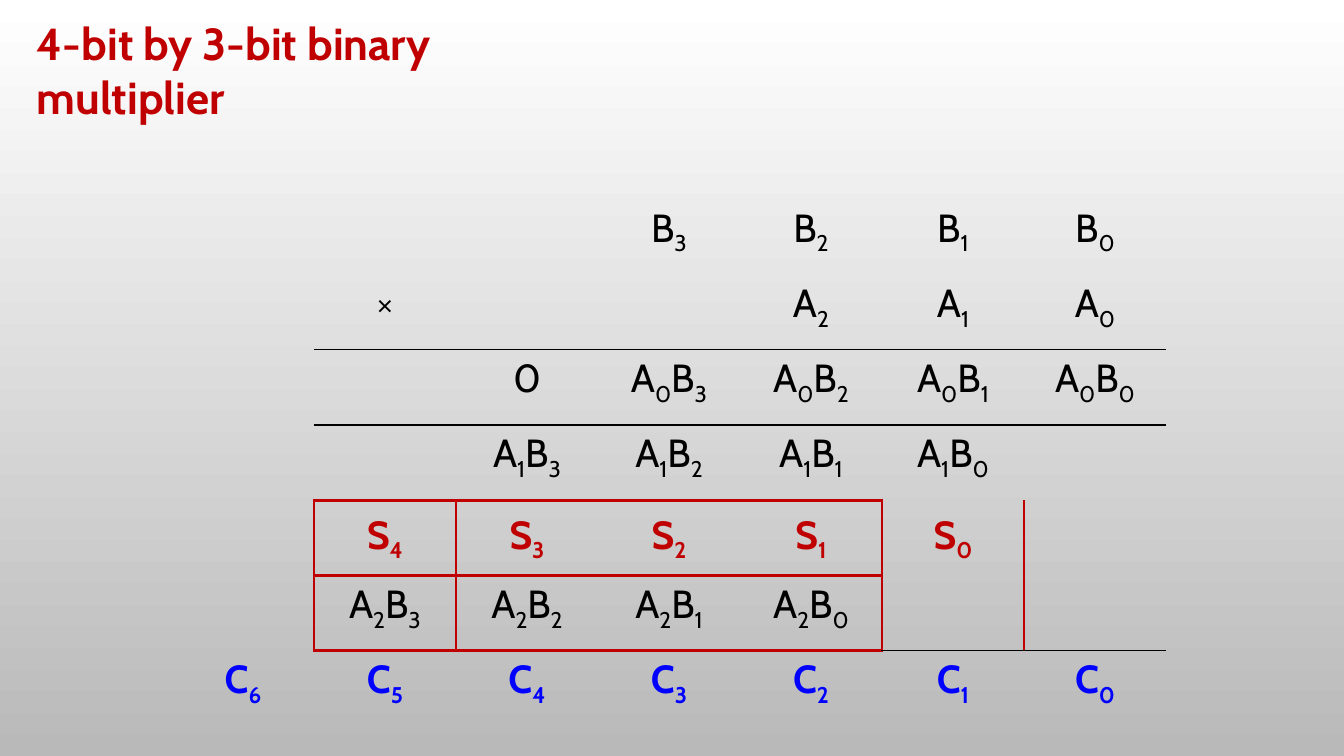
import pptx
import pptx.dml.color
import pptx.enum.text
import pptx.oxml
import pptx.oxml.ns
import pptx.util

RGB = pptx.dml.color.RGBColor
ALIGN = pptx.enum.text.PP_ALIGN
ANCHOR = pptx.enum.text.MSO_ANCHOR

WHITE = RGB(0xFF, 0xFF, 0xFF)
GREY = RGB(0xB9, 0xB9, 0xB9)
BLACK = RGB(0, 0, 0)
RED = RGB(0xC0, 0, 0)
BLUE = RGB(0, 0, 0xFF)

FONT = "Cabin"
TITLE = "4-bit by 3-bit binary multiplier"
ROWS = [
    ["", "", "", "", "", "", ""],
    ["", "", "", "B3", "B2", "B1", "B0"],
    ["", "×", "", "", "A2", "A1", "A0"],
    ["", "", "0", "A0B3", "A0B2", "A0B1", "A0B0"],
    ["", "", "A1B3", "A1B2", "A1B1", "A1B0", ""],
    ["", "S4", "S3", "S2", "S1", "S0", ""],
    ["", "A2B3", "A2B2", "A2B1", "A2B0", "", ""],
    ["C6", "C5", "C4", "C3", "C2", "C1", "C0"],
]
SUM_ROW, OUT_ROW = 5, 7
INKS = {SUM_ROW: RED, OUT_ROW: BLUE}
# row line, first column, end column, colour, points
LEVELS = [(3, 1, 7, BLACK, 1), (5, 1, 5, RED, 2.25),
          (7, 1, 5, RED, 2.25), (7, 5, 7, BLACK, 1)]
# column line, first row, end row, colour, points
UPRIGHTS = [(1, 5, 7, RED, 2.25), (5, 5, 7, RED, 2.25)]

SLIDE = (1344, 756)
TITLE_BOX = (27, 11, 590, 65)
GRID_BOX = (172, 124, 994, 602)
SCALE = 914400 / 100.8
PLAIN_GRID = "{2D5ABB26-0587-4C30-8999-92F81FD0307C}"


def px(n):
    return pptx.util.Emu(round(n * SCALE))


def write(para, text, size=28, ink=BLACK, bold=False, align=ALIGN.LEFT, index=False):
    """Fill a paragraph; with index, digits that follow a letter are lowered."""
    para.alignment = align
    for i, piece in enumerate(text if index else [text]):
        run = para.add_run()
        run.text = piece
        font = run.font
        font.name, font.size, font.bold = FONT, pptx.util.Pt(size), bold
        font.color.rgb = ink
        if index and i and piece.isdigit():
            run._r.get_or_add_rPr().set("baseline", "-25000")


def border(cell, side, ink, width):
    line = pptx.oxml.parse_xml(
        f'<a:ln{side} {pptx.oxml.ns.nsdecls("a")} w="{round(width * 12700)}">'
        f'<a:solidFill><a:srgbClr val="{ink}"/></a:solidFill></a:ln{side}>')
    cell._tc.get_or_add_tcPr().append(line)


def get_sides():
    """Map each (row, column) to its bordered sides."""
    sides = {}
    for y, start, end, ink, width in LEVELS:
        for x in range(start, end):
            sides.setdefault((y - 1, x), {})["B"] = (ink, width)
            sides.setdefault((y, x), {})["T"] = (ink, width)
    for x, start, end, ink, width in UPRIGHTS:
        for y in range(start, end):
            sides.setdefault((y, x - 1), {})["R"] = (ink, width)
            sides.setdefault((y, x), {})["L"] = (ink, width)
    return sides


def add_title(slide):
    frame = slide.shapes.add_textbox(*map(px, TITLE_BOX)).text_frame
    frame.word_wrap = True
    frame.auto_size = pptx.enum.text.MSO_AUTO_SIZE.SHAPE_TO_FIT_TEXT
    write(frame.paragraphs[0], TITLE, size=32, ink=RED, bold=True)


def add_grid(slide):
    count = len(ROWS), len(ROWS[0])
    table = slide.shapes.add_table(*count, *map(px, GRID_BOX)).table
    table.first_row = table.horz_banding = False
    table._tbl.tblPr.find(pptx.oxml.ns.qn("a:tableStyleId")).text = PLAIN_GRID
    sides = get_sides()
    for y, row in enumerate(ROWS):
        for x, text in enumerate(row):
            cell = table.cell(y, x)
            for side in "LRTB":
                if side in sides.get((y, x), {}):
                    border(cell, side, *sides[y, x][side])
            cell.fill.background()
            if y == SUM_ROW:
                cell.vertical_anchor = ANCHOR.MIDDLE
            if text:
                write(cell.text_frame.paragraphs[0], text, ink=INKS.get(y, BLACK),
                      bold=y in INKS, align=ALIGN.CENTER, index=True)


def main():
    deck = pptx.Presentation()
    deck.slide_width, deck.slide_height = map(px, SLIDE)
    slide = deck.slides.add_slide(deck.slide_layouts[6])
    fill = slide.background.fill
    fill.gradient()
    fill.gradient_angle = 270
    for stop, ink in zip(fill.gradient_stops, (WHITE, GREY)):
        stop.color.rgb = ink
    add_title(slide)
    add_grid(slide)
    deck.save("out.pptx")


if __name__ == "__main__":
    main()
